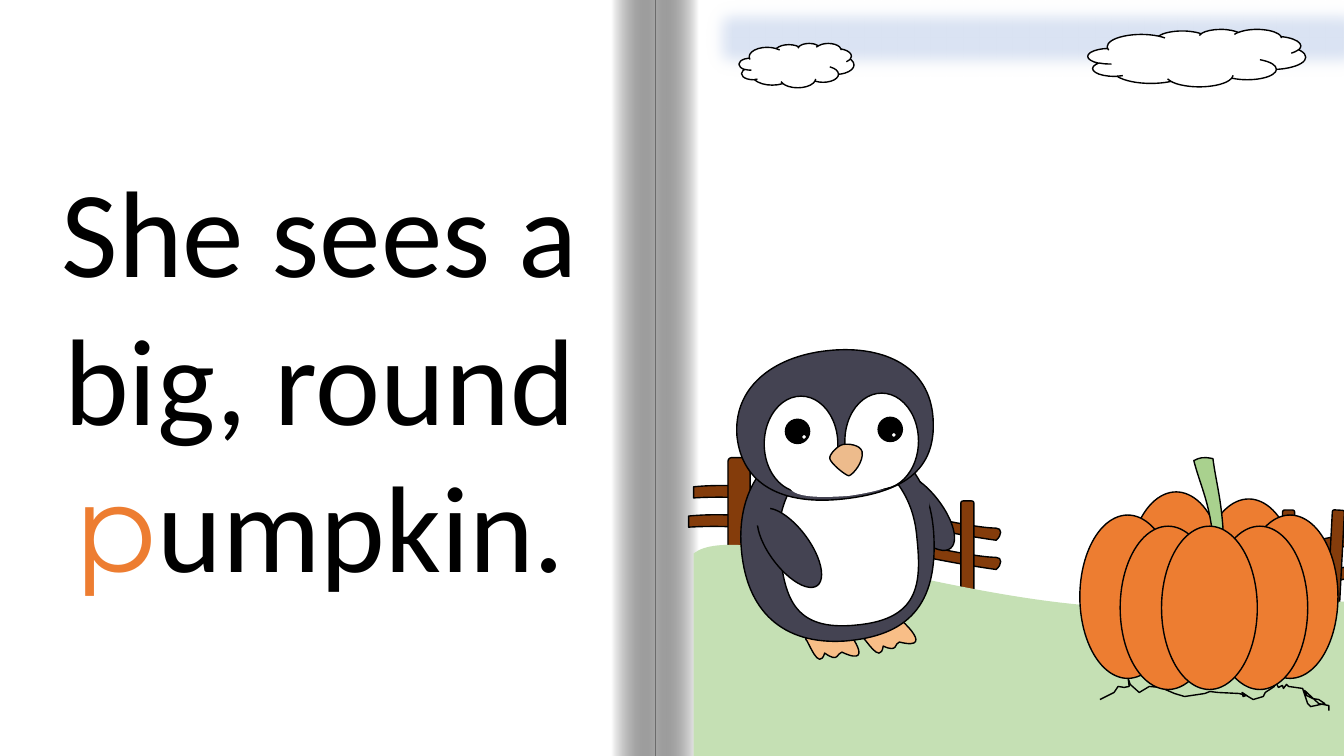
import pptx
import pptx.dml.color
import pptx.enum.shapes
import pptx.enum.text
import pptx.oxml
import pptx.util

Inches = pptx.util.Inches
SHAPE = pptx.enum.shapes.MSO_SHAPE
NS = 'xmlns:a="http://schemas.openxmlformats.org/drawingml/2006/main"'
COLORS = {
    "black": "000000", "white": "FFFFFF", "orange": "ED7D31", "wood": "843C0B",
    "grass": "C5E0B4", "stem": "A9D18E", "feather": "444352", "foot": "F8BE87",
    "beak": "EDBB8C", "sky": "DAE3F3",
}


def color(name):
    return pptx.dml.color.RGBColor.from_string(COLORS[name])


class Page:
    def __init__(self, prs):
        self.slide = prs.slides.add_slide(prs.slide_layouts[6])
        self.shapes = self.slide.shapes
        self.slide.background.fill.solid()
        self.slide.background.fill.fore_color.rgb = color("black")

    def style(self, sp, fill, line="black"):
        sp.shadow.inherit = False
        if fill:
            sp.fill.solid()
            sp.fill.fore_color.rgb = color(fill)
        else:
            sp.fill.background()
        if line:
            sp.line.color.rgb = color(line)
            sp.line.width = pptx.util.Pt(1)
        else:
            sp.line.fill.background()
        return sp

    def shape(self, kind, box, fill, line="black", rot=0):
        sp = self.shapes.add_shape(kind, *map(Inches, box))
        sp.rotation = rot
        return self.style(sp, fill, line)

    def oval(self, *box, fill, line="black", rot=0):
        return self.shape(SHAPE.OVAL, box, fill, line, rot)

    def free(self, start, segments, fill=None, line="black"):
        """A pair of numbers is a line end, six numbers are a Bezier curve."""
        anchors = [(round(x * 1000), round(y * 1000))
                   for x, y in [start] + [seg[-2:] for seg in segments]]
        builder = self.shapes.build_freeform(*anchors[0], scale=Inches(1) / 1000)
        builder.add_line_segments(anchors[1:], close=fill is not None)
        sp = builder.convert_to_shape()
        left, top = map(min, zip(*anchors))
        # Bend the straight segments that have control points
        for seg, ln in zip(segments, sp.element.xpath(".//a:lnTo")):
            if len(seg) == 6:
                pts = "".join(
                    f'<a:pt x="{round(x * 1000) - left}" y="{round(y * 1000) - top}"/>'
                    for x, y in zip(seg[::2], seg[1::2]))
                curve = pptx.oxml.parse_xml(f"<a:cubicBezTo {NS}>{pts}</a:cubicBezTo>")
                ln.getparent().replace(ln, curve)
        return self.style(sp, fill, line)

    def fold(self, x, angle):
        sp = self.shape(SHAPE.RECTANGLE, (x, 0, 0.43, 7.5), None, None)
        sp.fill.gradient()
        sp.fill.gradient_angle = angle
        for stop, name in zip(sp.fill.gradient_stops, ("white", "black")):
            stop.color.rgb = color(name)
        dark = sp.element.xpath(".//a:gs/a:srgbClr")[-1]
        dark.append(pptx.oxml.parse_xml(f'<a:alpha {NS} val="34000"/>'))

    def soften(self, sp, radius):
        effects = sp.element.xpath(".//a:effectLst")[0]
        effects.append(pptx.oxml.parse_xml(f'<a:softEdge {NS} rad="{radius}"/>'))

    def sentence(self, box, runs, size):
        tf = self.shapes.add_textbox(*map(Inches, box)).text_frame
        tf.word_wrap = True
        tf.auto_size = pptx.enum.text.MSO_AUTO_SIZE.SHAPE_TO_FIT_TEXT
        p = tf.paragraphs[0]
        p.alignment = pptx.enum.text.PP_ALIGN.CENTER
        for text, font, name in runs:
            r = p.add_run()
            r.text = text
            r.font.size = pptx.util.Pt(size)
            r.font.name = font
            r.font.color.rgb = color(name)


def draw_fence(page):
    # Right fence: two rails, two posts
    for dx, dy in ((0, 0), (0.02, 0.32)):
        page.free((12.42 + dx, 5.5 + dy), [
            (13.9 + dx, 5.17 + dy, 15.45 + dx, 4.83 + dy, 17 + dx, 5.27 + dy),
            (16.98 + dx, 5.37 + dy),
            (14.73 + dx, 4.91 + dy, 13.56 + dx, 5.44 + dy, 12.43 + dx, 5.59 + dy),
            (12.4 + dx, 5.57 + dy, 12.39 + dx, 5.53 + dy, 12.42 + dx, 5.5 + dy)], "wood")
    for x, rot in ((12.72, 0), (13.19, 3)):
        page.shape(SHAPE.ROUNDED_RECTANGLE, (x, 5.06, 0.12, 0.95), "wood", rot=rot)
    # Left fence: two rails, five posts
    for x, dy in ((6.88, 0), (6.83, 0.29)):
        page.free((x, 4.83 + dy), [
            (x + 0.97, 4.73 + dy, 9.38, 5.23 + dy, 9.88, 5.24 + dy),
            (9.94, 5.24 + dy, 9.94, 5.31 + dy, 9.88, 5.36 + dy),
            (8.87, 5.22 + dy, x + 1.04, 4.88 + dy, x, 4.94 + dy),
            (x, 4.83 + dy)], "wood")
    for x, y, w in ((7.22, 4.54, 0.22), (7.83, 4.57, 0.13), (8.43, 4.71, 0.16),
                    (8.98, 4.82, 0.13), (9.53, 4.97, 0.13)):
        page.shape(SHAPE.ROUNDED_RECTANGLE, (x, y, w, 0.94), "wood")


def draw_ground(page):
    page.free((6.88, 5.49), [
        (7.31, 5.15, 9.31, 5.93, 11, 6.02), (12.69, 6.1, 15.96, 5.68, 17.03, 6.02),
        (16.98, 9.08), (6.88, 9.08), (6.88, 5.49)], "grass", None)
    # Scribbled roots
    page.free((10.91, 6.94), [
        (11.05, 6.87), (11.09, 6.81), (11.15, 6.82), (11.2, 6.81), (11.19, 6.73),
        (11.21, 6.79), (11.3, 6.87), (11.4, 6.81), (11.51, 6.82), (11.65, 6.88),
        (11.75, 6.91), (11.95, 6.88), (12, 6.86), (12.08, 6.87), (12.29, 6.88),
        (12.36, 6.9), (12.33, 6.91), (12.32, 6.87), (12.38, 6.91), (12.43, 6.94),
        (12.53, 6.91), (12.55, 6.87), (12.64, 6.81), (12.65, 6.76), (12.68, 6.82),
        (12.72, 6.8), (12.73, 6.83), (12.76, 6.79), (12.78, 6.81), (12.92, 6.83),
        (12.97, 6.98), (13, 7.01), (13.14, 6.98), (13.08, 6.94), (13.02, 6.93),
        (12.96, 6.9), (12.94, 6.85), (13.08, 6.98), (13.18, 7), (13.18, 7.05)])


def draw_pumpkin(page):
    for x, y in ((11.19, 4.88), (11.91, 4.95)):
        page.oval(x, y, 0.95, 1.62, fill="orange")
    page.free((11.84, 4.57), [
        (11.9, 4.54, 11.93, 4.53, 12.03, 4.55), (12.06, 4.78, 12.11, 4.94, 12.13, 5.25),
        (12.02, 5.25), (11.98, 4.95, 11.9, 4.8, 11.84, 4.57)], "stem")
    for x, y in ((10.71, 5.11), (12.32, 5.11), (11.11, 5.22), (12.02, 5.22), (11.52, 5.22)):
        page.oval(x, y, 0.95, 1.62, fill="orange")


def draw_penguin(page):
    # Far wing and feet
    page.oval(8.94, 4.61, 0.4, 0.93, fill="feather", rot=321.8)
    page.free((8.32, 6.18), [
        (8.14, 6.11), (7.99, 6.34), (8.02, 6.36, 8.12, 6.67, 8.18, 6.48),
        (8.32, 6.58, 8.3, 6.48, 8.35, 6.47), (8.73, 6.65, 8.36, 6.17, 8.32, 6.18)], "foot")
    page.free((8.83, 6.08), [
        (8.64, 6.05), (8.54, 6.31), (8.58, 6.32, 8.73, 6.61, 8.76, 6.41),
        (8.91, 6.48, 8.87, 6.38, 8.92, 6.37), (9.32, 6.47, 8.87, 6.07, 8.83, 6.08)], "foot")
    # Body and belly
    page.free((7.35, 5.41), [
        (7.31, 4.76, 7.71, 4.37, 8.23, 4.33), (8.76, 4.29, 9.21, 4.59, 9.26, 5.28),
        (9.31, 6.02, 8.99, 6.31, 8.38, 6.36), (7.77, 6.4, 7.39, 6.07, 7.35, 5.41)], "feather")
    page.free((7.73, 5.43), [
        (7.68, 4.96, 7.95, 4.55, 8.32, 4.51), (8.7, 4.48, 9.04, 4.82, 9.09, 5.29),
        (9.14, 5.75, 9.15, 6.14, 8.5, 6.2), (7.85, 6.27, 7.78, 5.9, 7.73, 5.43)], "white")
    page.oval(9.06, 4.78, 0.15, 0.29, fill="feather", line=None, rot=339.9)
    # Head and face
    page.free((7.31, 4.33), [
        (7.27, 3.85, 7.66, 3.54, 8.2, 3.48), (8.73, 3.42, 9.19, 3.61, 9.25, 4.1),
        (9.31, 4.64, 8.99, 4.88, 8.37, 4.95), (7.75, 5.02, 7.36, 4.8, 7.31, 4.33)], "feather")
    for x, y in ((8.38, 3.9), (7.58, 3.93)):
        page.oval(x, y, 0.73, 0.95, fill="white")
    for x, y, glint in ((8.71, 4.14, 0.13), (7.79, 4.16, 0.16)):
        page.oval(x, y, 0.24, 0.24, fill="black")
        page.oval(x + glint, y + 0.15, 0.05, 0.05, fill="white")
    page.free((8.37, 4.46), [
        (8.71, 4.42, 8.99, 4.5, 9, 4.62), (9.01, 4.75, 8.9, 4.85, 8.42, 4.92),
        (7.88, 4.96, 7.81, 4.88, 7.8, 4.75), (7.78, 4.63, 8.04, 4.49, 8.37, 4.46)],
        "white", None)
    page.free((8.23, 4.55), [
        (8.22, 4.51, 8.31, 4.42, 8.36, 4.41), (8.41, 4.4, 8.53, 4.41, 8.55, 4.48),
        (8.57, 4.58, 8.46, 4.71, 8.42, 4.72), (8.39, 4.72, 8.24, 4.6, 8.23, 4.55)], "beak")
    # Near wing
    page.oval(7.63, 4.97, 0.4, 0.93, fill="feather", rot=323.6)
    page.oval(7.48, 4.93, 0.15, 0.29, fill="feather", line=None, rot=17.7)


def main():
    prs = pptx.Presentation()
    prs.slide_width, prs.slide_height = Inches(13.33), Inches(7.5)
    page = Page(prs)
    # Open book
    page.shape(SHAPE.RECTANGLE, (-0.01, 0, 13.47, 7.5), "white", None)
    page.fold(6.5, 180)
    page.fold(6.07, 0)
    page.sentence((0, 1.48, 6.34, 4.54), [
        ("She sees a big, round ", "Calibri", "black"),
        ("p", "Montserrat", "orange"), ("umpkin.", "Calibri", "black")], 88)
    # Scene
    draw_fence(page)
    draw_ground(page)
    draw_pumpkin(page)
    draw_penguin(page)
    # Sky and clouds
    sky = page.shape(SHAPE.RECTANGLE, (6.96, -0.05, 6.67, 0.85), "sky", "sky")
    page.soften(sky, 158750)
    for box in ((7.33, 0.43, 1.14, 0.44), (10.79, 0.29, 2.16, 0.57)):
        page.shape(SHAPE.CLOUD, box, "white")
    prs.save("out.pptx")


if __name__ == "__main__":
    main()
